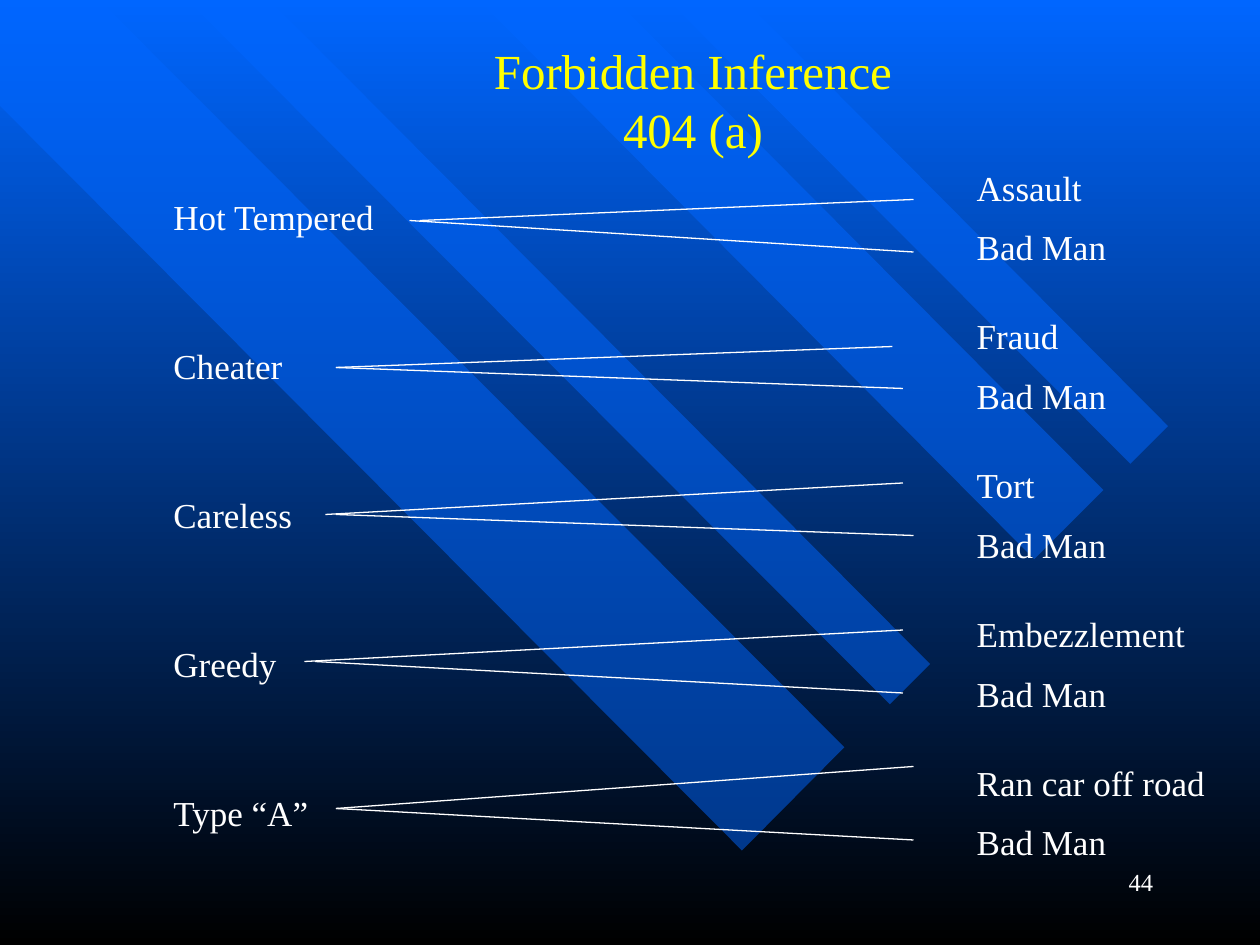
from lxml.etree import SubElement
from pptx import Presentation
from pptx.dml.color import RGBColor
from pptx.enum.shapes import MSO_CONNECTOR
from pptx.enum.text import MSO_ANCHOR, PP_ALIGN
from pptx.oxml.ns import qn
from pptx.util import Pt

FONT = "Times New Roman"
BLUE, BLACK, WHITE, YELLOW = "0066FF", "000000", "FFFFFF", "FFFF00"
ROW_PITCH = 17
GROUP_PITCH = 84
BLANK_ROWS = 2

BANDS = [
    [(482.5, 427), (57, 0), (0, 0), (0, 60.5), (424, 486)],
    [(154, 0), (531.5, 379.5), (508.5, 402.5), (107, 0)],
    [(352, 0), (630.5, 280), (591, 319.5), (273.5, 0)],
    [(381.5, 0), (646, 265), (667.5, 243.5), (425.5, 0)],
]

TRAITS = [
    ("Hot Tempered", "Assault", [(148, 430, -12), (142, 430, 18)]),
    ("Cheater", "Fraud", [(100, 418, -12), (100, 424, 12)]),
    ("Careless", "Tort", [(94, 424, -18), (100, 430, 12)]),
    ("Greedy", "Embezzlement", [(82, 424, -18), (88, 424, 18)]),
    ("Type “A”", "Ran car off road", [(100, 430, -24), (100, 430, 18)]),
]


def color(hex_string):
    return RGBColor.from_string(hex_string)


def add_run(paragraph, text, size, hex_string):
    run = paragraph.add_run()
    run.text = text
    run.font.name = FONT
    run.font.size = Pt(size)
    run.font.color.rgb = color(hex_string)


def place(shape, left, top, width, height):
    shape.left, shape.top = Pt(left), Pt(top)
    shape.width, shape.height = Pt(width), Pt(height)


def paint_background(slide):
    fill = slide.background.fill
    fill.gradient()
    fill.gradient_angle = 270
    for stop, hex_string, position in zip(fill.gradient_stops, (BLUE, BLACK), (0, 1)):
        stop.color.rgb = color(hex_string)
        stop.position = position


def add_band(slide, points):
    start, *others = [(Pt(x), Pt(y)) for x, y in points]
    builder = slide.shapes.build_freeform(*start)
    builder.add_line_segments(others, close=True)
    band = builder.convert_to_shape()
    band.shadow.inherit = False
    band.line.fill.background()
    band.fill.solid()
    band.fill.fore_color.rgb = color(BLUE)
    rgb = next(band.fill._xPr.iter(qn("a:srgbClr")))
    SubElement(rgb, qn("a:alpha"), val="50000")


def fill_title(slide, left, top, width, height):
    title = slide.shapes.title
    slide.shapes._spTree.append(title._element)
    place(title, left, top, width, height)
    frame = title.text_frame
    frame.vertical_anchor = MSO_ANCHOR.MIDDLE
    paragraph = frame.paragraphs[0]
    paragraph.alignment = PP_ALIGN.CENTER
    add_run(paragraph, "Forbidden Inference", 28, YELLOW)
    paragraph.add_line_break()
    add_run(paragraph, "404 (a)", 28, YELLOW)


def add_page_number(slide, left, top, width, height):
    box = slide.shapes.add_textbox(Pt(left), Pt(top), Pt(width), Pt(height))
    box.text_frame.word_wrap = True
    paragraph = box.text_frame.paragraphs[0]
    paragraph.alignment = PP_ALIGN.RIGHT
    add_run(paragraph, "44", 14, WHITE)


def add_line(slide, start_x, start_y, end_x, end_y):
    line = slide.shapes.add_connector(
        MSO_CONNECTOR.STRAIGHT, Pt(start_x), Pt(start_y), Pt(end_x), Pt(end_y))
    line.line.color.rgb = color(WHITE)
    line.line.width = Pt(0.75)
    SubElement(line._element.spPr, qn("a:effectLst"))


def add_inferences(slide, left, top, width, height):
    box = slide.shapes.add_textbox(Pt(left), Pt(top), Pt(width), Pt(height))
    frame = box.text_frame
    frame.word_wrap = True
    frame.margin_top = 0
    paragraph = frame.paragraphs[0]
    for group, (trait, act, lines) in enumerate(TRAITS):
        for row, text in enumerate(("\t" + act, trait, "\tBad Man")):
            if group or row:
                paragraph = frame.add_paragraph()
            paragraph.line_spacing = Pt(ROW_PITCH)
            if group and not row:
                paragraph.space_before = Pt(BLANK_ROWS * ROW_PITCH)
            tabs = SubElement(paragraph._p.get_or_add_pPr(), qn("a:tabLst"))
            SubElement(tabs, qn("a:tab"), pos=str(Pt(459)), algn="l")
            add_run(paragraph, text, 20, WHITE)
        middle = top + 24 + group * GROUP_PITCH
        for start, end, shift in lines:
            add_line(slide, left + start, middle, left + end, middle + shift)


def main():
    presentation = Presentation()
    presentation.slide_width, presentation.slide_height = Pt(720), Pt(540)
    slide = presentation.slides.add_slide(presentation.slide_layouts[5])
    paint_background(slide)
    for points in BANDS:
        add_band(slide, points)
    add_page_number(slide, 516, 492, 150, 36)
    fill_title(slide, 90, 18, 612, 78)
    add_inferences(slide, 92, 102, 612, 438)
    presentation.save("out.pptx")


if __name__ == "__main__":
    main()
